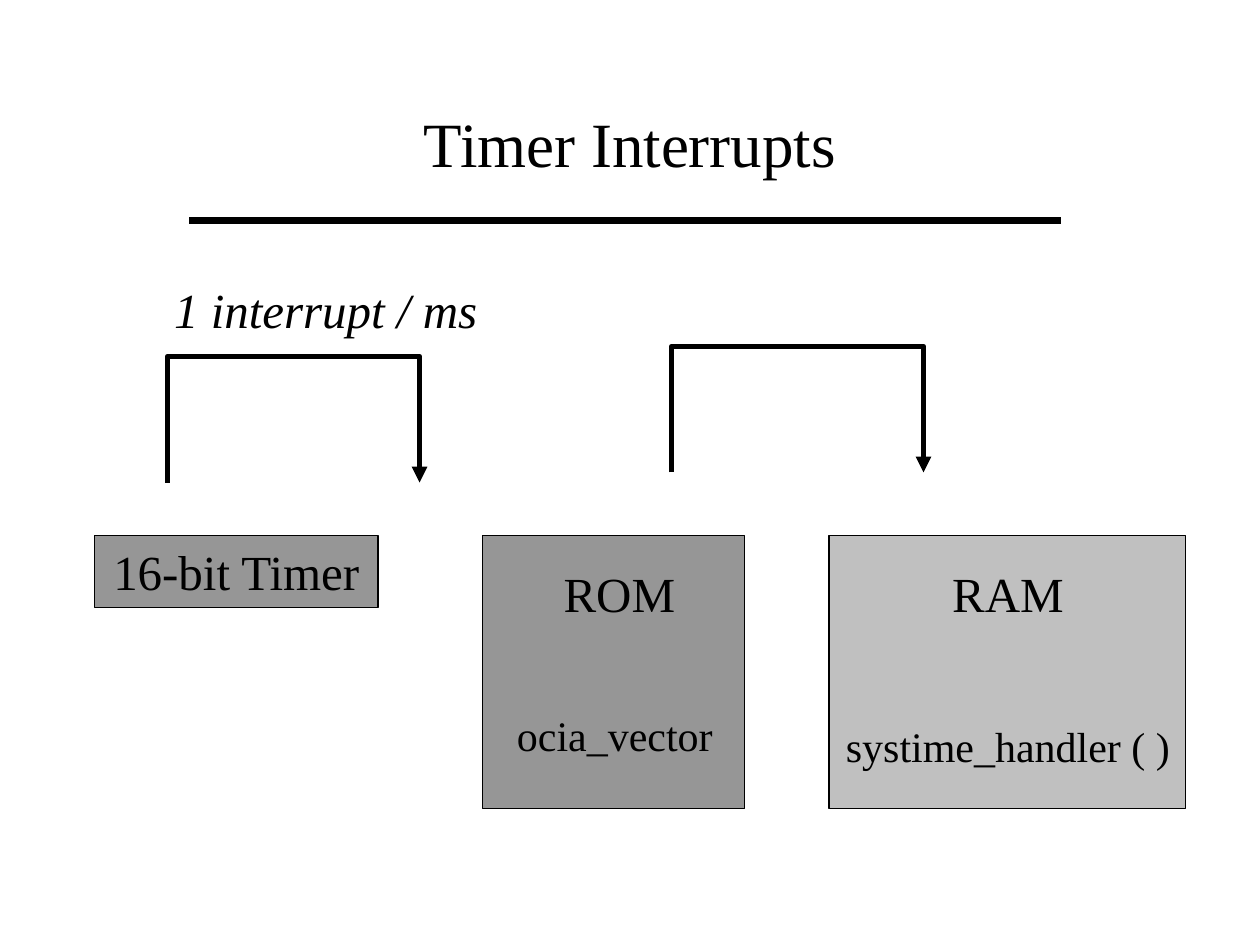
from dataclasses import dataclass

from pptx import Presentation
from pptx.dml.color import RGBColor
from pptx.enum.shapes import MSO_CONNECTOR, MSO_SHAPE
from pptx.enum.text import MSO_ANCHOR, MSO_AUTO_SIZE, PP_ALIGN
from pptx.oxml.ns import qn
from pptx.oxml.xmlchemy import OxmlElement
from pptx.shapes.autoshape import Shape
from pptx.slide import Slide
from pptx.util import Inches, Pt

BLACK = RGBColor(0x00, 0x00, 0x00)
DARK_GRAY = RGBColor(0x96, 0x96, 0x96)
LIGHT_GRAY = RGBColor(0xC0, 0xC0, 0xC0)
FONT = "Times New Roman"
BLOCK_TOP = 4.25
ARC_START = (0, 1.15)
ARC_CURVES = (
    ((0.01, 0.83), (0.02, 0.5), (0.34, 0.32)),
    ((0.66, 0.14), (1.56, 0), (1.92, 0.07)),
    ((2.28, 0.14), (2.39, 0.44), (2.5, 0.74)),
)


@dataclass(frozen=True)
class Block:
    left: float
    width: float
    height: float
    fill: RGBColor
    text: str = ""


@dataclass(frozen=True)
class Label:
    text: str
    left: float
    top: float
    width: float
    height: float = 0.57
    size: int = 28
    italic: bool = False


@dataclass(frozen=True)
class Arc:
    left: float
    top: float


BLOCKS = (
    Block(0.75, 2.25, 0.57, DARK_GRAY, "16-bit Timer"),
    Block(6.58, 2.83, 2.17, LIGHT_GRAY),
    Block(3.83, 2.08, 2.17, DARK_GRAY),
)
LABELS = (
    Label("RAM", 7, 4.42, 2),
    Label("ROM", 3.75, 4.42, 2.33),
    Label("1 interrupt / ms", 1.17, 2.17, 2.83, italic=True),
    Label("ocia_vector", 3.92, 5.58, 1.92, 0.5, 24),
    Label("systime_handler ( )", 6.5, 5.67, 3, 0.5, 24),
)
TITLE = Label("Timer Interrupts", 0.75, 0.67, 8.5, 0.92, 36)
ARCS = (Arc(1.33, 2.83), Arc(5.33, 2.75))


def write_text(holder: Shape, text: str, size: int, italic: bool = False) -> None:
    frame = holder.text_frame
    frame.word_wrap = True
    frame.vertical_anchor = MSO_ANCHOR.TOP
    paragraph = frame.paragraphs[0]
    paragraph.text = text
    paragraph.alignment = PP_ALIGN.CENTER
    paragraph.font.name = FONT
    paragraph.font.size = Pt(size)
    paragraph.font.italic = italic
    paragraph.font.color.rgb = BLACK


def draw_label(slide: Slide, label: Label) -> Shape:
    holder = slide.shapes.add_textbox(
        Inches(label.left), Inches(label.top), Inches(label.width), Inches(label.height)
    )
    write_text(holder, label.text, label.size, label.italic)
    return holder


def draw_block(slide: Slide, block: Block) -> None:
    rectangle = slide.shapes.add_shape(
        MSO_SHAPE.RECTANGLE,
        Inches(block.left),
        Inches(BLOCK_TOP),
        Inches(block.width),
        Inches(block.height),
    )
    rectangle.shadow.inherit = False
    rectangle.fill.solid()
    rectangle.fill.fore_color.rgb = block.fill
    rectangle.line.color.rgb = BLACK
    rectangle.line.width = Pt(0.75)
    if block.text:
        write_text(rectangle, block.text, 28)
        rectangle.text_frame.auto_size = MSO_AUTO_SIZE.SHAPE_TO_FIT_TEXT


def draw_rule(slide: Slide) -> None:
    rule = slide.shapes.add_connector(
        MSO_CONNECTOR.STRAIGHT, Inches(1.5), Inches(1.75), Inches(8.42), Inches(1.75)
    )
    rule.line.color.rgb = BLACK
    rule.line.width = Pt(3.5)
    rule._element.spPr.append(OxmlElement("a:effectLst"))


def draw_arc(slide: Slide, arc: Arc) -> None:
    builder = slide.shapes.build_freeform(*ARC_START, scale=Inches(1))
    for curve in ARC_CURVES:
        builder.add_line_segments(curve, close=False)
    arrow = builder.convert_to_shape(Inches(arc.left), Inches(arc.top))
    arrow.shadow.inherit = False
    arrow.fill.background()
    arrow.line.color.rgb = BLACK
    arrow.line.width = Pt(3)

    properties = arrow._element.spPr
    outline = next(properties.iter(qn("a:path")))
    segments = outline.findall(qn("a:lnTo"))
    for first in range(0, len(segments), 3):
        bezier = OxmlElement("a:cubicBezTo")
        for segment in segments[first:first + 3]:
            bezier.append(segment[0])
            outline.remove(segment)
        outline.append(bezier)

    head = OxmlElement("a:tailEnd")
    head.set("type", "triangle")
    properties.find(qn("a:ln")).append(head)


def main() -> None:
    presentation = Presentation()
    presentation.slide_width = Inches(10)
    presentation.slide_height = Inches(7.5)
    slide = presentation.slides.add_slide(presentation.slide_layouts[6])

    title = draw_label(slide, TITLE)
    title.text_frame.vertical_anchor = MSO_ANCHOR.MIDDLE
    draw_rule(slide)
    for block in BLOCKS:
        draw_block(slide, block)
    for arc in ARCS:
        draw_arc(slide, arc)
    for label in LABELS:
        holder = draw_label(slide, label)
        holder.text_frame.auto_size = MSO_AUTO_SIZE.SHAPE_TO_FIT_TEXT

    presentation.save("out.pptx")


if __name__ == "__main__":
    main()
